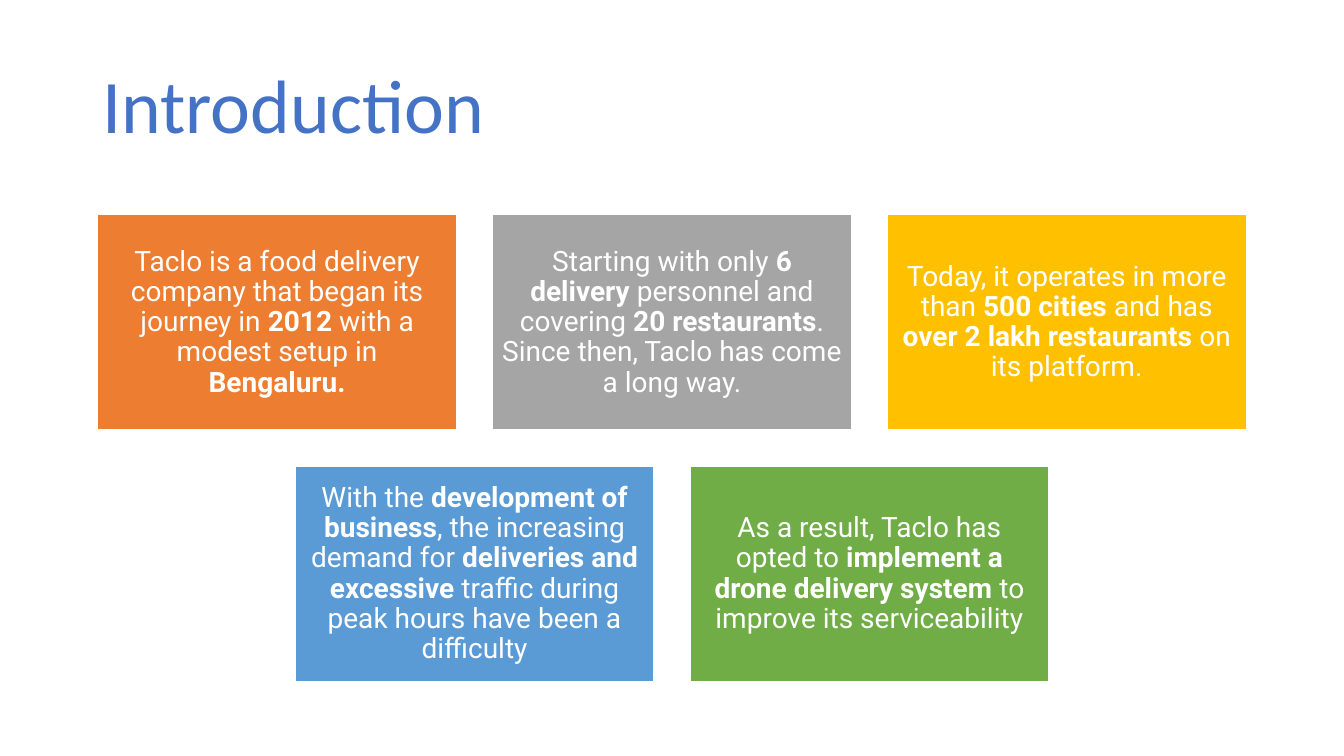
from dataclasses import dataclass

from pptx import Presentation
from pptx.dml.color import RGBColor
from pptx.enum.shapes import MSO_SHAPE
from pptx.enum.text import MSO_ANCHOR, PP_ALIGN
from pptx.util import Pt

RECTANGLE = MSO_SHAPE.RECTANGLE
MIDDLE, BOTTOM = MSO_ANCHOR.MIDDLE, MSO_ANCHOR.BOTTOM
LEFT, CENTER = PP_ALIGN.LEFT, PP_ALIGN.CENTER

PAGE_WIDTH, PAGE_HEIGHT = 960, 540
CARD_WIDTH, CARD_HEIGHT, CARD_GAP = 256.4, 153.9, 25.6
CARDS_TOP = 153.4


@dataclass(frozen=True)
class Theme:
    title_font: str = "Calibri"
    body_font: str = "Roboto"
    title_size: float = 54
    body_size: float = 20
    title_color: str = "4472C4"
    white: str = "FFFFFF"
    orange: str = "ED7D31"
    gray: str = "A5A5A5"
    gold: str = "FFC000"
    blue: str = "5B9BD5"
    green: str = "70AD47"


THEME = Theme()

# Each card: fill and text pieces, alternating regular and bold
CARD_ROWS = [
    [
        (THEME.orange, ["Taclo is a food delivery company that began its journey in ",
                        "2012", " with a modest setup in ", "Bengaluru."]),
        (THEME.gray, ["Starting with only ", "6 delivery ", "personnel and covering ",
                      "20 restaurants", ". Since then, Taclo has come a long way."]),
        (THEME.gold, ["Today, it operates in more than ", "500 cities ", "and has ",
                      "over 2 lakh restaurants ", "on its platform."]),
    ],
    [
        (THEME.blue, ["With the ", "development of business", ", the increasing demand for ",
                      "deliveries and excessive ",
                      "traffic during peak hours have been a difficulty"]),
        (THEME.green, ["As a result, Taclo has opted to ",
                       "implement a drone delivery system ",
                       "to improve its serviceability"]),
    ],
]


def write_text(frame, pieces, *, font, size, color, align, anchor):
    """Fill a text frame with one paragraph whose odd pieces are bold."""
    frame.word_wrap = True
    frame.vertical_anchor = anchor
    para = frame.paragraphs[0]
    para.alignment = align
    para.line_spacing = 0.9
    for index, piece in enumerate(pieces):
        span = para.add_run()
        span.text = piece
        span.font.name = font
        span.font.size = Pt(size)
        span.font.bold = index % 2 == 1
        span.font.color.rgb = RGBColor.from_string(color)


class SlideBuilder:
    def __init__(self, page, theme):
        self.page = page
        self.theme = theme

    def title(self, text, left, top, width, height):
        box = self.page.shapes.add_textbox(Pt(left), Pt(top), Pt(width), Pt(height))
        write_text(box.text_frame, [text], font=self.theme.title_font,
                   size=self.theme.title_size, color=self.theme.title_color,
                   align=LEFT, anchor=BOTTOM)

    def card(self, fill, pieces, left, top):
        card = self.page.shapes.add_shape(RECTANGLE, Pt(left), Pt(top),
                                          Pt(CARD_WIDTH), Pt(CARD_HEIGHT))
        card.shadow.inherit = False
        card.fill.solid()
        card.fill.fore_color.rgb = RGBColor.from_string(fill)
        card.line.color.rgb = RGBColor.from_string(self.theme.white)
        card.line.width = Pt(1)
        frame = card.text_frame
        frame.margin_left = frame.margin_right = Pt(6)
        frame.margin_top = frame.margin_bottom = Pt(6)
        write_text(frame, pieces, font=self.theme.body_font,
                   size=self.theme.body_size, color=self.theme.white,
                   align=CENTER, anchor=MIDDLE)

    def card_row(self, cards, top):
        """Lay out one row of cards centred on the page."""
        pitch = CARD_WIDTH + CARD_GAP
        left = (PAGE_WIDTH - len(cards) * pitch + CARD_GAP) / 2
        for column, (fill, pieces) in enumerate(cards):
            self.card(fill, pieces, left + column * pitch, top)


def main():
    deck = Presentation()
    deck.slide_width, deck.slide_height = Pt(PAGE_WIDTH), Pt(PAGE_HEIGHT)
    builder = SlideBuilder(deck.slides.add_slide(deck.slide_layouts[6]), THEME)

    # Heading
    builder.title("Introduction", 66.2, 28.8, 840, 82)

    # Story cards
    for row, cards in enumerate(CARD_ROWS):
        builder.card_row(cards, CARDS_TOP + row * (CARD_HEIGHT + CARD_GAP))

    deck.save("out.pptx")


if __name__ == "__main__":
    main()
